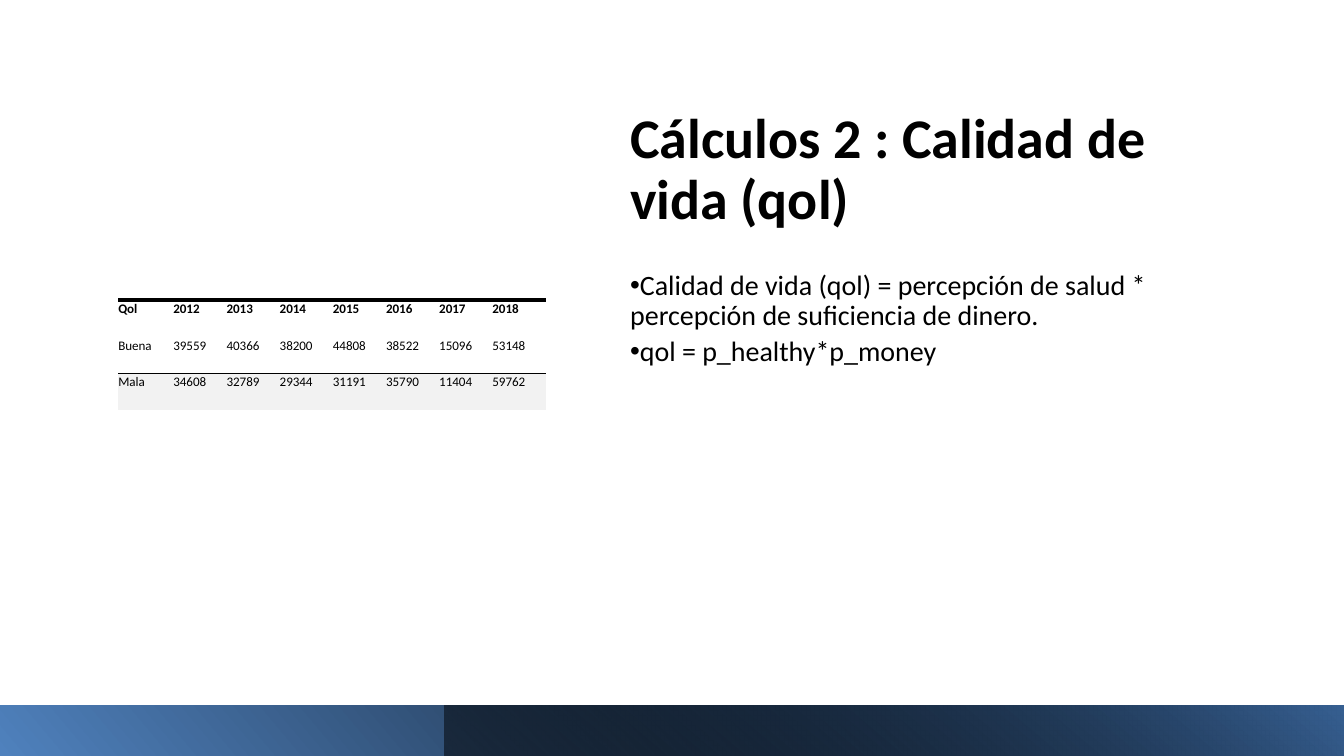
from lxml import etree
from pptx import Presentation
from pptx.dml.color import RGBColor
from pptx.enum.shapes import MSO_SHAPE
from pptx.enum.text import MSO_ANCHOR
from pptx.oxml.ns import qn
from pptx.util import Inches, Pt

RECTANGLE = MSO_SHAPE.RECTANGLE
TOP, BOTTOM = MSO_ANCHOR.TOP, MSO_ANCHOR.BOTTOM
NO_TABLE_STYLE = "{2D5ABB26-0587-4C30-8999-92F81FD0307C}"
COLORS = {
    "black": "000000",
    "light blue": "4F81BD",
    "dark blue": "376092",
    "band": "F2F2F2",
}


def write_text(frame, lines, size, bold=False, anchor=TOP, spacing=None, bullet=None):
    frame.word_wrap = True
    frame.vertical_anchor = anchor
    for index, line in enumerate(lines):
        para = frame.add_paragraph() if index else frame.paragraphs[0]
        if spacing:
            para.line_spacing = spacing
        if bullet:
            properties = para._p.get_or_add_pPr()
            properties.set("marL", "0")
            properties.set("indent", str(-Inches(0.25)))
            before = etree.SubElement(properties, qn("a:spcBef"))
            etree.SubElement(before, qn("a:spcPct"), val="20000")
            etree.SubElement(properties, qn("a:buFont"), typeface="Arial")
            etree.SubElement(properties, qn("a:buChar"), char=bullet)
        span = para.add_run()
        span.text = line
        span.font.name = "Calibri"
        span.font.size = Pt(size)
        span.font.bold = bold
        span.font.color.rgb = RGBColor.from_string(COLORS["black"])


def add_border(cell, side, width):
    """Draw a black line on one side of a cell: "a:lnT" or "a:lnB"."""
    line = etree.Element(qn(side), w=str(Pt(width)))
    fill = etree.SubElement(line, qn("a:solidFill"))
    etree.SubElement(fill, qn("a:srgbClr"), val=COLORS["black"])
    cell._tc.get_or_add_tcPr().insert(0, line)


deck = Presentation()
deck.slide_width = Inches(10)
deck.slide_height = deck.slide_width * 9 // 16
page = deck.slides.add_slide(deck.slide_layouts[6])

# Title and definitions
title = page.shapes.add_textbox(Inches(4.59), Inches(0.4), Inches(4.72), Inches(1.37))
write_text(title.text_frame, ["Cálculos 2 : Calidad de vida (qol)"], 30,
           bold=True, anchor=BOTTOM, spacing=0.9)

body = page.shapes.add_textbox(Inches(4.59), Inches(1.97), Inches(4.72), Inches(2.62))
definitions = [
    "Calidad de vida (qol) = percepción de salud * percepción de suficiencia de dinero.",
    "qol = p_healthy*p_money",
]
write_text(body.text_frame, definitions, 15, spacing=0.9, bullet="•")

# Footer bars: left, width, rotation, clockwise angle, stops (position, color, opacity)
footer_bars = [
    (0, 10, 180, 40, [(0, "light blue", 100), (0.9, "black", 100)]),
    (3.31, 6.69, 0, 230, [(0, "black", 50), (1, "dark blue", 100)]),
]
footer_top = Inches(5.25)
for left, width, rotation, angle, stops in footer_bars:
    bar = page.shapes.add_shape(RECTANGLE, Inches(left), footer_top, Inches(width),
                                deck.slide_height - footer_top)
    bar.shadow.inherit = False
    bar.line.fill.background()
    bar.rotation = rotation
    bar._element.spPr.find(qn("a:xfrm")).set("flipH", "1")
    bar.fill.gradient()
    bar.fill.gradient_angle = 360 - angle
    for stop, (position, color, opacity) in zip(bar.fill.gradient_stops, stops):
        stop.position = position
        stop.color.rgb = RGBColor.from_string(COLORS[color])
        if opacity < 100:
            tone = stop._gs.find(qn("a:srgbClr"))
            etree.SubElement(tone, qn("a:alpha"), val=str(opacity * 1000))

# Quality of life by year
rows = [
    ["Qol", "2012", "2013", "2014", "2015", "2016", "2017", "2018"],
    ["Buena", "39559", "40366", "38200", "44808", "38522", "15096", "53148"],
    ["Mala", "34608", "32789", "29344", "31191", "35790", "11404", "59762"],
]
borders = [("a:lnT", 2.25), ("a:lnB", 0.5), ("a:lnT", 0.5)]
table_width, table_height, label_width = Inches(3.18), Inches(0.82), Inches(0.41)
table = page.shapes.add_table(len(rows), len(rows[0]), Inches(0.88), Inches(2.23),
                              table_width, table_height).table
table.first_row = table.horz_banding = False
table._tbl.tblPr.find(qn("a:tableStyleId")).text = NO_TABLE_STYLE
year_width = (table_width - label_width) // (len(rows[0]) - 1)
for index, column in enumerate(table.columns):
    column.width = year_width if index else label_width
for index, (values, (side, width)) in enumerate(zip(rows, borders)):
    table.rows[index].height = table_height // len(rows)
    for cell, value in zip(table.rows[index].cells, values):
        cell.margin_left, cell.margin_top = Inches(0), Inches(0.01)
        cell.margin_right, cell.margin_bottom = Inches(0.04), Inches(0.11)
        write_text(cell.text_frame, [value], 7, bold=index == 0)
        if index == 2:
            cell.fill.solid()
            cell.fill.fore_color.rgb = RGBColor.from_string(COLORS["band"])
        else:
            cell.fill.background()
        add_border(cell, side, width)

deck.save("out.pptx")
